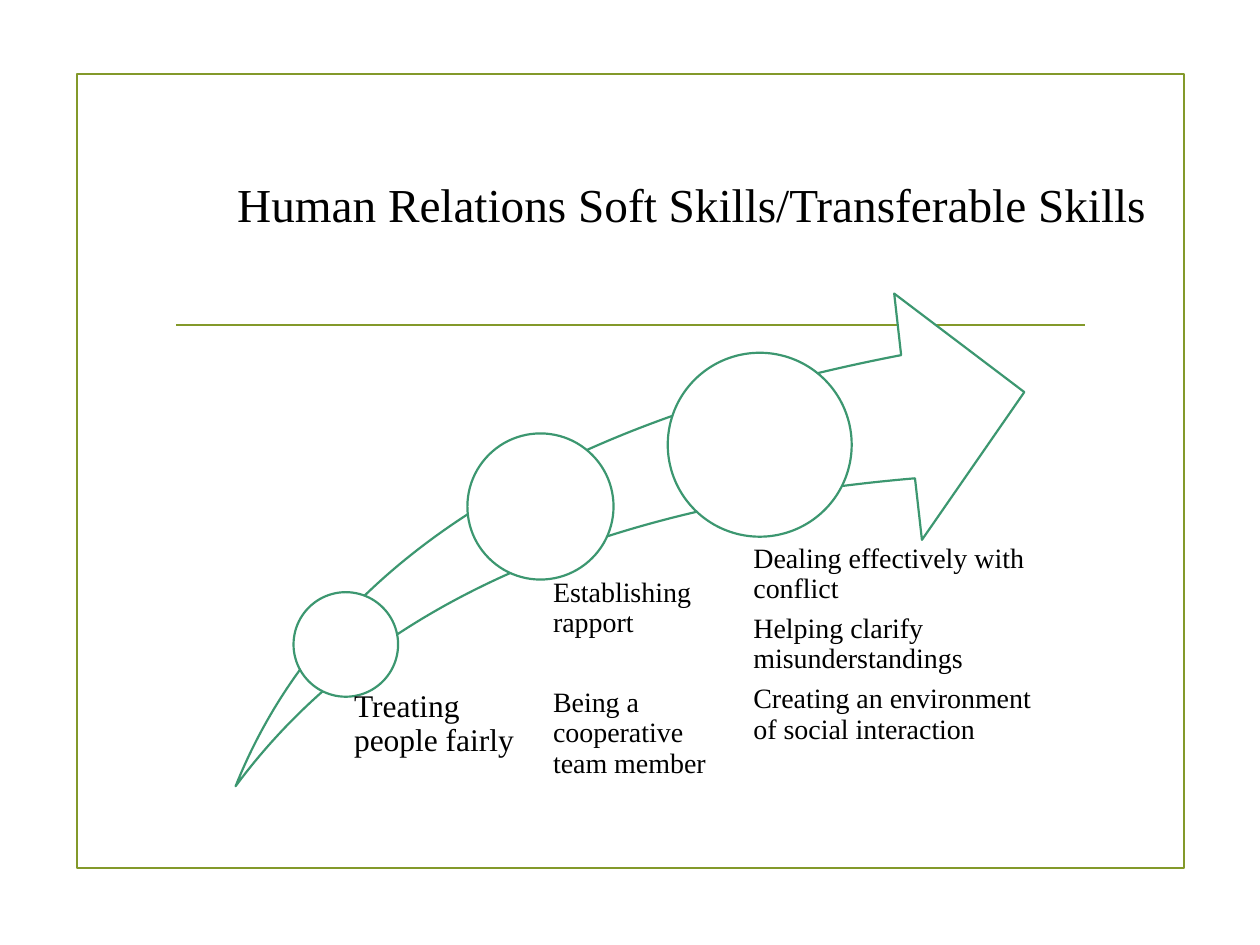
from pptx import Presentation
from pptx.dml.color import RGBColor
from pptx.enum.shapes import MSO_CONNECTOR, MSO_SHAPE
from pptx.enum.text import MSO_ANCHOR, PP_ALIGN
from pptx.util import Inches, Pt
from lxml.etree import SubElement

COLORS = {"white": "FFFFFF", "olive": "83992A", "green": "3C9770", "black": "000000"}
COLS, ROWS = 100, 75
DRAWINGML = "{http://schemas.openxmlformats.org/drawingml/2006/main}"


class Deck:
    font = "Times New Roman"
    stroke = Pt(1.25)

    def __init__(self):
        self.show = Presentation()
        self.show.slide_width, self.show.slide_height = Inches(10), Inches(7.5)
        self.slide = self.show.slides.add_slide(self.show.slide_layouts[6])

    def place(self, col, row, width, height):
        cell_w = self.show.slide_width / COLS
        cell_h = self.show.slide_height / ROWS
        return [round(n * c) for n, c in zip((col, row, width, height), (cell_w, cell_h) * 2)]

    def color(self, name):
        return RGBColor.from_string(COLORS[name])

    def outline(self, item, name):
        item.line.color.rgb = self.color(name)
        item.line.width = self.stroke

    def shape(self, kind, area, line, fill="white"):
        item = self.slide.shapes.add_shape(kind, *self.place(*area))
        item.shadow.inherit = False
        item.fill.solid()
        item.fill.fore_color.rgb = self.color(fill)
        self.outline(item, line)
        return item

    def rule(self, left, right, row, line):
        x1, y1, x2, y2 = self.place(left, row, right, row)
        item = self.slide.shapes.add_connector(MSO_CONNECTOR.STRAIGHT, x1, y1, x2, y2)
        self.outline(item, line)
        SubElement(item._element.spPr, DRAWINGML + "effectLst")

    def text(self, area, lines, size, inset=0.0, foot=0.0, gap=0.0, pitch=1.0,
             align=PP_ALIGN.LEFT, anchor=MSO_ANCHOR.TOP):
        frame = self.slide.shapes.add_textbox(*self.place(*area)).text_frame
        frame.word_wrap = True
        frame.vertical_anchor = anchor
        frame.margin_left = Inches(inset)
        frame.margin_bottom = Inches(foot)
        frame.margin_top = frame.margin_right = 0
        frame.text = "\n".join(lines)
        for para in frame.paragraphs:
            para.alignment = align
            para.line_spacing = pitch
            para.space_after = Pt(gap)
            para.font.name = self.font
            para.font.size = Pt(size)
            para.font.color.rgb = self.color("black")


def main():
    deck = Deck()
    deck.shape(MSO_SHAPE.RECTANGLE, (6.1, 5.9, 87.9, 63), "olive")
    deck.rule(14, 86.1, 25.8, "olive")
    deck.text((12.3, 9.4, 85.2, 9.5), ["Human Relations Soft Skills/Transferable Skills"], 27,
              foot=0.05, align=PP_ALIGN.CENTER, anchor=MSO_ANCHOR.BOTTOM)
    arrow = deck.shape(MSO_SHAPE.SWOOSH_ARROW, (18.7, 23.3, 62.6, 39.1), "green")
    arrow.adjustments[0] = arrow.adjustments[1] = 0.25

    steps = [
        ((23.3, 47, 8.3), (27.2, 54.8, 14.6, 7.6), 0.09, 18, 6.3,
         ["Treating people fairly"]),
        ((37.1, 34.4, 11.6), (42.3, 45.9, 15, 16.1), 0.16, 16, 28.4,
         ["Establishing rapport", "Being a cooperative team member"]),
        ((53, 28, 14.6), (57.6, 43.2, 24.4, 17.7), 0.22, 16, 5.6,
         ["Dealing effectively with conflict", "Helping clarify misunderstandings",
          "Creating an environment of social interaction"]),
    ]
    for (col, row, size), area, inset, points, gap, lines in steps:
        deck.shape(MSO_SHAPE.OVAL, (col, row, size, size), "green")
        deck.text(area, lines, points, inset=inset, gap=gap, pitch=0.9)
    deck.show.save("out.pptx")


if __name__ == "__main__":
    main()
